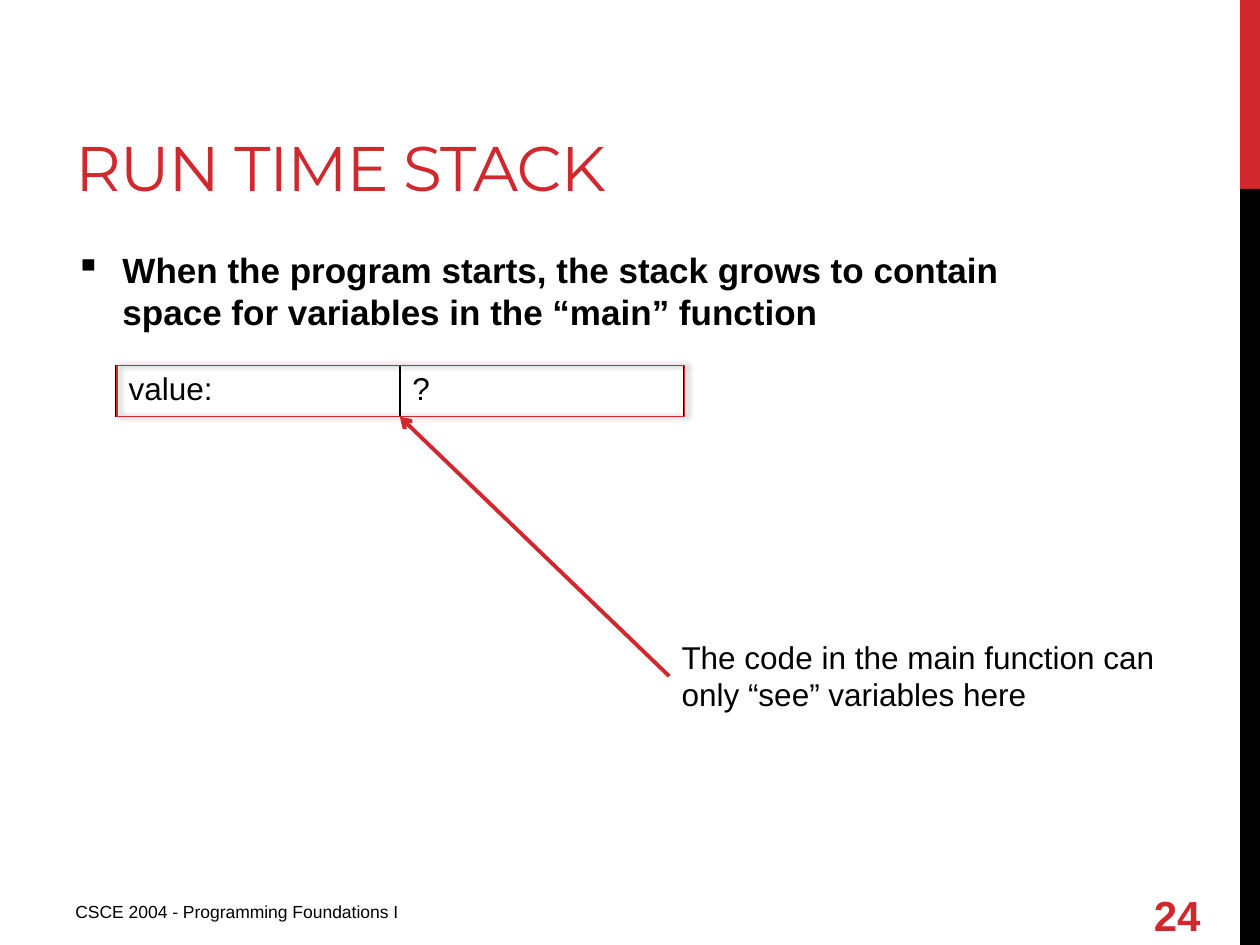
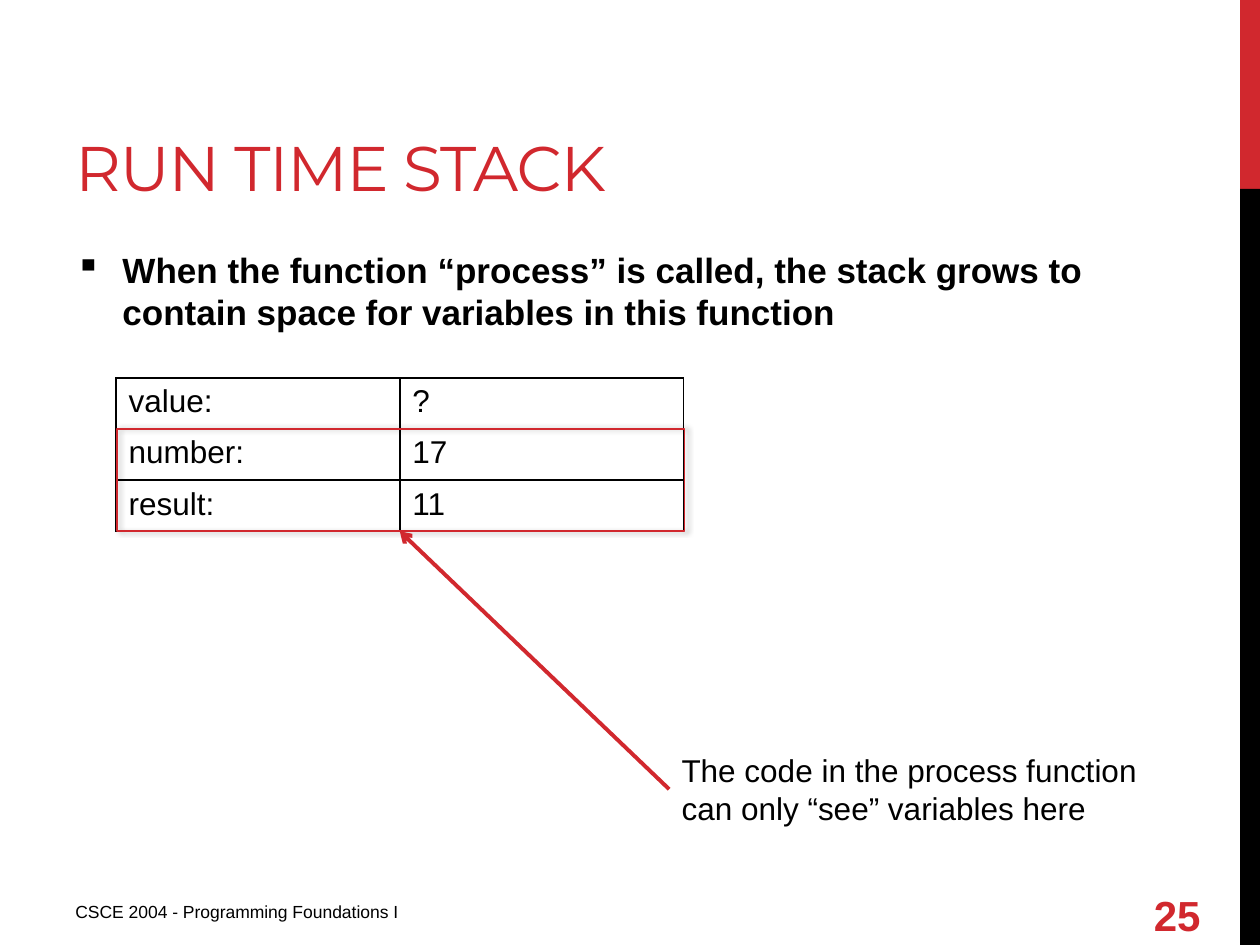
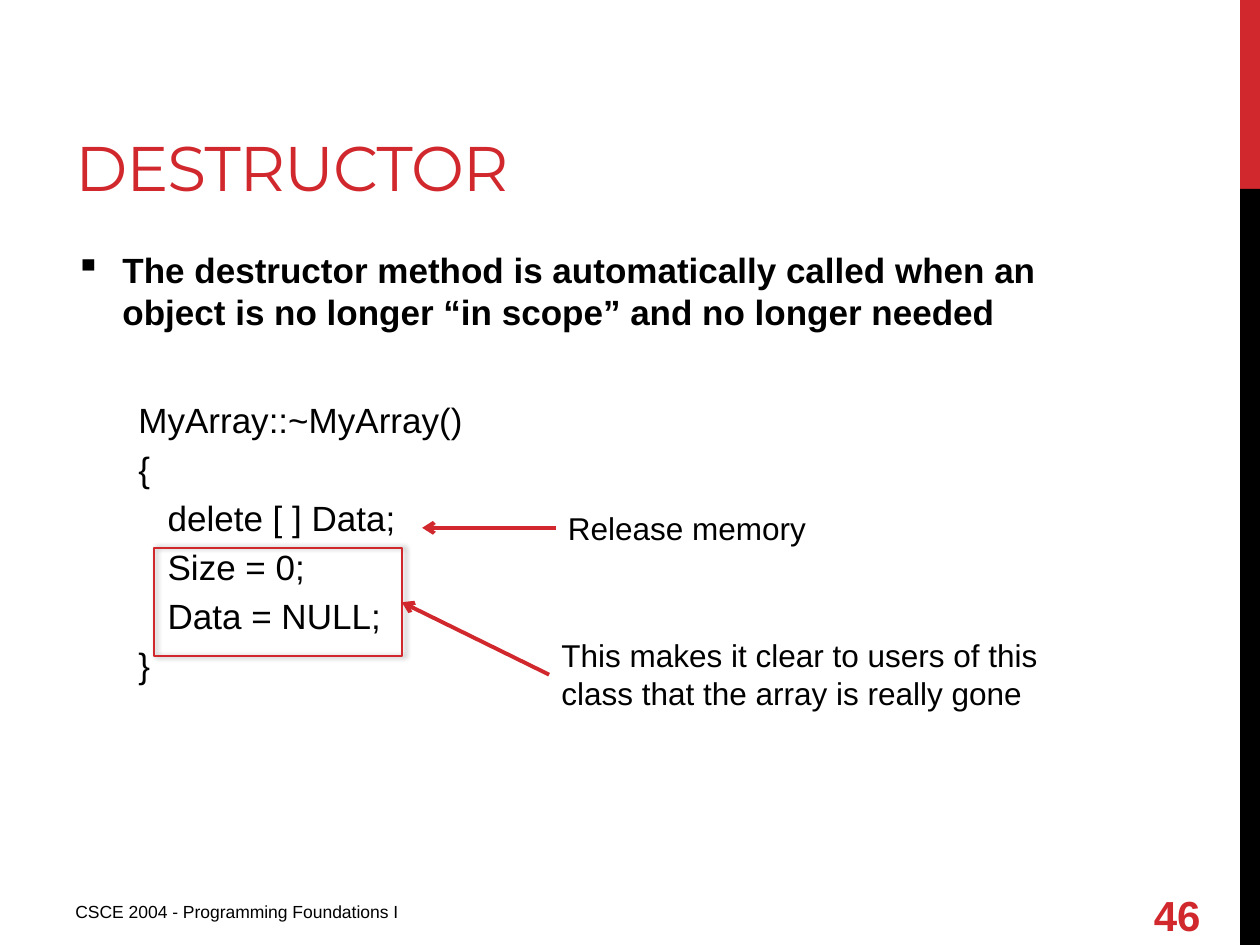
"""Three lecture slides: the run time stack and the destructor."""
from dataclasses import dataclass
from typing import NamedTuple, Optional

from lxml import etree
from pptx import Presentation
from pptx import util as u
from pptx.dml.color import RGBColor
from pptx.enum import shapes, text
from pptx.oxml import ns


@dataclass(frozen=True)
class Theme:
    """Colours, fonts and type sizes shared by all slides."""
    red: RGBColor = RGBColor(0xD1, 0x28, 0x2E)
    black: RGBColor = RGBColor(0, 0, 0)
    heading_font: str = "Montserrat"
    text_font: str = "Arial"
    title: float = 36
    body: float = 20
    note: float = 18
    footer: float = 10
    number: float = 24
    leading: float = 1.2
    frame_line: float = 1
    arrow_line: float = 2.25


THEME = Theme()
COURSE = "CSCE 2004 - Programming Foundations I"


class Box(NamedTuple):
    """A rectangle in centimetres."""
    left: float
    top: float
    width: float
    height: float

    def lengths(self) -> list:
        """Return the four sides as slide lengths."""
        return [u.Cm(side) for side in self]


class Point(NamedTuple):
    """A place in centimetres."""
    x: float
    y: float


class CodeLine(NamedTuple):
    """A line of code and its nesting depth."""
    words: str
    depth: int = 0


@dataclass(frozen=True)
class Callout:
    """A note whose arrow starts at the middle of its left edge."""
    words: str
    box: Box
    tip: Point


@dataclass(frozen=True)
class Stack:
    """Variables on the stack; rows from first_visible on are framed."""
    top: float
    rows: tuple[tuple[str, str], ...]
    first_visible: int
    note: str
    note_top: float


SLIDE_W, SLIDE_H = 25.4, 19.05
BAND_LEFT, BAND_SPLIT = 25, 3.81
TITLE_BOX = Box(1.27, 0.43, 16.08, 3.81)
BODY_BOX = Box(1.27, 4.88, 21.16, 12.14)
FOOTER_BOX = Box(1.27, 18.03, 9.53, 0.79)
NUMBER_BOX = Box(23.01, 17.93, 1.88, 1.02)
BULLET_INDENT, CODE_INDENT, CODE_STEP = 0.95, 1.27, 0.59
STACK_LEFT, COLUMN_W, ROW_H = 2.34, 5.72, 1.03
NOTE_LEFT, NOTE_W, NOTE_H, SHORT_NOTE_H = 13.49, 10.41, 1.8, 1.02


def add_xml(parent, tag: str, **attributes: str):
    """Append a drawing element to parent and return it."""
    return etree.SubElement(parent, ns.qn(tag), attributes)


def style(paragraph, size: float, color: RGBColor = THEME.black,
          bold: bool = False, font: str = THEME.text_font) -> None:
    """Set the font of a whole paragraph."""
    paragraph.font.name = font
    paragraph.font.size = u.Pt(size)
    paragraph.font.bold = bold
    paragraph.font.color.rgb = color


def add_text(slide, box: Box, words: str, size: float,
             anchor=text.MSO_ANCHOR.TOP, **look):
    """Add a wrapping text box and return its first paragraph and frame."""
    frame = slide.shapes.add_textbox(*box.lengths()).text_frame
    frame.word_wrap = True
    frame.vertical_anchor = anchor
    paragraph = frame.paragraphs[0]
    paragraph.text = words
    style(paragraph, size, **look)
    return paragraph, frame


def set_leading(paragraph, size: float) -> None:
    """Give a paragraph the shared line pitch for its type size."""
    paragraph.line_spacing = u.Pt(size * THEME.leading)


def add_band(slide, top: float, height: float, color: RGBColor) -> None:
    """Fill one part of the strip on the right edge."""
    box = Box(BAND_LEFT, top, SLIDE_W - BAND_LEFT, height)
    band = slide.shapes.add_shape(shapes.MSO_SHAPE.RECTANGLE, *box.lengths())
    band.shadow.inherit = False
    band.fill.solid()
    band.fill.fore_color.rgb = color
    band.line.fill.background()


def add_base(deck, title: str, number: int):
    """Add a slide with its bands, title, footer and number."""
    slide = deck.slides.add_slide(deck.slide_layouts[6])
    add_band(slide, 0, BAND_SPLIT, THEME.red)
    add_band(slide, BAND_SPLIT, SLIDE_H - BAND_SPLIT, THEME.black)
    heading, _ = add_text(slide, TITLE_BOX, title, THEME.title,
                          anchor=text.MSO_ANCHOR.BOTTOM, color=THEME.red,
                          font=THEME.heading_font)
    heading.runs[0]._r.get_or_add_rPr().set("spc", "-60")
    add_text(slide, FOOTER_BOX, COURSE, THEME.footer)
    add_text(slide, NUMBER_BOX, str(number), THEME.number,
             anchor=text.MSO_ANCHOR.MIDDLE, color=THEME.red, bold=True)
    return slide


def add_body(slide, point: str, code: tuple[CodeLine, ...] = ()) -> None:
    """Add the bulleted point and any code below it."""
    bullet, frame = add_text(slide, BODY_BOX, point, THEME.body, bold=True)
    set_leading(bullet, THEME.body)
    bullet.space_after = u.Pt(6)
    indent = u.Cm(BULLET_INDENT)
    properties = bullet._p.get_or_add_pPr()
    properties.set("marL", str(indent))
    properties.set("indent", str(-indent))
    mark = etree.Element(ns.qn("a:buChar"), {"char": "▪"})
    properties.find(ns.qn("a:defRPr")).addprevious(mark)

    gap = THEME.body * 0.2
    for index, line in enumerate(code):
        paragraph = frame.add_paragraph()
        paragraph.text = line.words
        style(paragraph, THEME.body)
        set_leading(paragraph, THEME.body)
        skipped = 0 if index else THEME.body * THEME.leading + gap
        paragraph.space_before = u.Pt(gap + skipped)
        left = u.Cm(CODE_INDENT + line.depth * CODE_STEP)
        paragraph._p.get_or_add_pPr().set("marL", str(left))


def add_frame(slide, box: Box) -> None:
    """Outline an area in red with a soft shadow."""
    frame = slide.shapes.add_shape(shapes.MSO_SHAPE.RECTANGLE, *box.lengths())
    frame.shadow.inherit = False
    frame.fill.background()
    frame.line.color.rgb = THEME.red
    frame.line.width = u.Pt(THEME.frame_line)
    effects = frame._element.spPr.find(ns.qn("a:effectLst"))
    shadow = add_xml(effects, "a:outerShdw", blurRad=str(u.Pt(3.1)),
                     dist=str(u.Pt(1.8)), dir="0", rotWithShape="0")
    shade = add_xml(shadow, "a:srgbClr", val=str(THEME.black))
    add_xml(shade, "a:alpha", val="40000")


def add_callout(slide, callout: Callout) -> None:
    """Add a note and the arrow from it to its tip."""
    box = callout.box
    note, _ = add_text(slide, box, callout.words, THEME.note)
    set_leading(note, THEME.note)
    arrow = slide.shapes.add_connector(
        shapes.MSO_CONNECTOR.STRAIGHT,
        u.Cm(box.left), u.Cm(box.top + box.height / 2),
        u.Cm(callout.tip.x), u.Cm(callout.tip.y))
    arrow.line.color.rgb = THEME.red
    arrow.line.width = u.Pt(THEME.arrow_line)
    add_xml(arrow.line._get_or_add_ln(), "a:tailEnd", type="arrow")
    add_xml(arrow._element.spPr, "a:effectLst")


def set_borders(cell) -> None:
    """Draw thin black lines on all sides of an unfilled cell."""
    properties = cell._tc.get_or_add_tcPr()
    for side in ("a:lnL", "a:lnR", "a:lnT", "a:lnB"):
        line = add_xml(properties, side, w=str(u.Pt(THEME.frame_line)))
        fill = add_xml(line, "a:solidFill")
        add_xml(fill, "a:srgbClr", val=str(THEME.black))
    cell.fill.background()


def add_stack(slide, stack: Stack) -> None:
    """Add the variable table, its red frame and its callout."""
    count = len(stack.rows)
    box = Box(STACK_LEFT, stack.top, 2 * COLUMN_W, count * ROW_H)
    variables = slide.shapes.add_table(count, 2, *box.lengths()).table
    variables.first_row = False
    variables.horz_banding = False
    for row, values in enumerate(stack.rows):
        for column, value in enumerate(values):
            cell = variables.cell(row, column)
            cell.text = value
            style(cell.text_frame.paragraphs[0], THEME.note)
            set_borders(cell)

    hidden: Optional[float] = stack.first_visible * ROW_H
    visible = Box(box.left + 0.02, box.top + hidden,
                  box.width, box.height - hidden)
    add_frame(slide, visible)
    tip = Point(box.left + COLUMN_W, box.top + box.height)
    note_box = Box(NOTE_LEFT, stack.note_top, NOTE_W, NOTE_H)
    add_callout(slide, Callout(stack.note, note_box, tip))


def build_stack_slide(deck, number: int, point: str, stack: Stack) -> None:
    """Build one slide about the run time stack."""
    slide = add_base(deck, "RUN TIME STACK", number)
    add_body(slide, point)
    add_stack(slide, stack)


def build_destructor_slide(deck) -> None:
    """Build the slide about the destructor method."""
    slide = add_base(deck, "DESTRUCTOR", 46)
    add_body(
        slide,
        "The destructor method is automatically called when an object is "
        "no longer “in scope” and no longer needed",
        (CodeLine("MyArray::~MyArray()"), CodeLine("{"),
         CodeLine("delete [ ] Data;", 1), CodeLine("Size = 0;", 1),
         CodeLine("Data = NULL;", 1), CodeLine("}")))
    resets = Box(3.1, 11.05, 5, 2.18)
    add_frame(slide, resets)
    add_callout(slide, Callout(
        "This makes it clear to users of this class that the array is "
        "really gone",
        Box(11.07, 12.7, NOTE_W, NOTE_H),
        Point(resets.left + resets.width, resets.top + resets.height / 2)))
    add_callout(slide, Callout(
        "Release memory", Box(11.2, 10.13, NOTE_W, SHORT_NOTE_H),
        Point(8.51, 10.13 + SHORT_NOTE_H / 2)))


def main() -> None:
    """Build and save the presentation."""
    deck = Presentation()
    deck.slide_width, deck.slide_height = u.Cm(SLIDE_W), u.Cm(SLIDE_H)
    build_stack_slide(
        deck, 24,
        "When the program starts, the stack grows to contain space for "
        "variables in the “main” function",
        Stack(7.37, (("value:", "?"),), 0,
              "The code in the main function can only “see” variables here",
              12.73))
    build_stack_slide(
        deck, 25,
        "When the function “process” is called, the stack grows to contain "
        "space for variables in this function",
        Stack(7.62, (("value:", "?"), ("number:", "17"), ("result:", "11")),
              1,
              "The code in the process function can only “see” variables "
              "here", 15.01))
    build_destructor_slide(deck)
    deck.save("out.pptx")


main()
